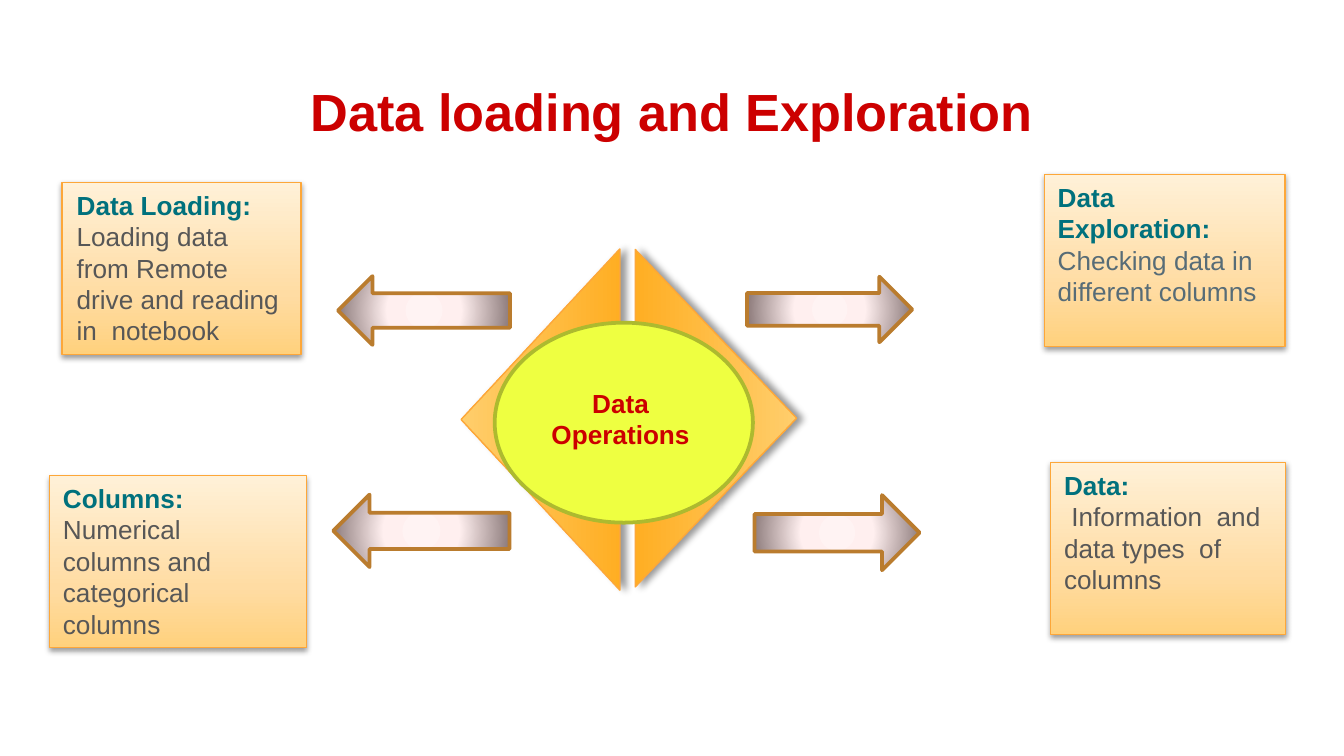
from lxml import etree
from pptx import Presentation
from pptx.dml.color import RGBColor
from pptx.enum.shapes import MSO_SHAPE
from pptx.enum.text import MSO_ANCHOR, PP_ALIGN
from pptx.oxml.ns import qn
from pptx.util import Cm, Pt

RED = RGBColor(0xCC, 0x00, 0x00)
TEAL = RGBColor(0x00, 0x71, 0x7D)
GREY = RGBColor(0x57, 0x57, 0x57)
SLATE = RGBColor(0x57, 0x6C, 0x77)
ORANGE = RGBColor(0xFD, 0xA7, 0x39)
BROWN = RGBColor(0xBA, 0x7C, 0x2E)
LIME = RGBColor(0xEE, 0xFF, 0x41)
OLIVE = RGBColor(0xAD, 0xBA, 0x2F)

# Gradient stops: position in percent, colour
AMBER = [(0, RGBColor(0xFF, 0xAE, 0x23)), (100, RGBColor(0xFF, 0xCE, 0x6C))]
CREAM = [(0, RGBColor(0xFF, 0xD1, 0x7D)), (35, RGBColor(0xFF, 0xDC, 0xA3)),
         (100, RGBColor(0xFF, 0xF1, 0xD8))]
ROSE = [(0, RGBColor(0xFF, 0xF3, 0xF3)), (40, RGBColor(0xFF, 0xEF, 0xEF)),
        (100, RGBColor(0x7F, 0x6D, 0x6D))]


def add_text(tf, text, size=14, color=GREY, bold=False, align=PP_ALIGN.LEFT, first=False):
    p = tf.paragraphs[0] if first else tf.add_paragraph()
    p.alignment = align
    r = p.add_run()
    r.text = text
    r.font.name = "Arial"
    r.font.size = Pt(size)
    r.font.bold = bold
    r.font.color.rgb = color


def draw_shape(kind, box, line, width, stops=None, radial=False, shadow=None):
    """Add a shape; shadow is (opacity %, blur pt, distance pt, angle)."""
    sp = s.shapes.add_shape(kind, *[Cm(v) for v in box])
    sp.shadow.inherit = False
    if stops:
        grad = etree.Element(qn("a:gradFill"), rotWithShape="1")
        gs_lst = etree.SubElement(grad, qn("a:gsLst"))
        for pos, color in stops:
            gs = etree.SubElement(gs_lst, qn("a:gs"), pos=str(pos * 1000))
            etree.SubElement(gs, qn("a:srgbClr"), val=str(color))
        if radial:
            circle = etree.SubElement(grad, qn("a:path"), path="circle")
            etree.SubElement(circle, qn("a:fillToRect"), l="50000", t="50000",
                             r="50000", b="50000")
        else:
            etree.SubElement(grad, qn("a:lin"), ang="16200000", scaled="0")
        sp._element.spPr.insert(2, grad)
    sp.line.color.rgb = line
    sp.line.width = Pt(width)
    if shadow:
        alpha, blur, dist, angle = shadow
        effects = sp._element.spPr.find(qn("a:effectLst"))
        outer = etree.SubElement(effects, qn("a:outerShdw"), blurRad=str(Pt(blur)),
                                 dist=str(Pt(dist)), dir=str(angle * 60000), rotWithShape="0")
        black = etree.SubElement(outer, qn("a:srgbClr"), val="000000")
        etree.SubElement(black, qn("a:alpha"), val=str(alpha * 1000))
    return sp


prs = Presentation()
prs.slide_width, prs.slide_height = Cm(25.4), Cm(14.29)
s = prs.slides.add_slide(prs.slide_layouts[5])

# Title
title = s.shapes.title
title.left, title.top, title.width, title.height = Cm(0.86), Cm(1.24), Cm(23.67), Cm(1.6)
tf = title.text_frame
tf.margin_left = tf.margin_top = tf.margin_right = tf.margin_bottom = Cm(0.25)
tf.vertical_anchor = MSO_ANCHOR.TOP
add_text(tf, "Data loading and Exploration", size=28, color=RED, bold=True,
         align=PP_ALIGN.CENTER, first=True)

# Diamond made of two triangles
for box, rotation in [((10.34, 6.38, 6.38, 3.05), 90), ((6.99, 6.43, 6.45, 3), 270)]:
    sp = draw_shape(MSO_SHAPE.ISOSCELES_TRIANGLE, box, ORANGE, 0.75, AMBER,
                    shadow=(40, 4, 3, 0))
    sp.rotation = rotation

# Central ellipse and its label
sp = draw_shape(MSO_SHAPE.OVAL, (9.35, 6.1, 4.88, 3.78), OLIVE, 2)
sp.fill.solid()
sp.fill.fore_color.rgb = LIME
tf = s.shapes.add_textbox(Cm(10.03), Cm(7.19), Cm(3.4), Cm(1.45)).text_frame
tf.word_wrap = True
for i, word in enumerate(["Data", "Operations"]):
    add_text(tf, word, color=RED, bold=True, align=PP_ALIGN.CENTER, first=i == 0)

# Corner boxes: left, top, width, left inset, right inset, heading, body, body colour
boxes = [
    (1.17, 3.45, 4.52, 0.28, 0.3, "Data Loading:",
     "Loading data from Remote drive and reading in  notebook", GREY),
    (19.74, 3.3, 4.55, 0.25, 0.25, "Data Exploration:",
     "Checking data in different columns", SLATE),
    (0.94, 8.99, 4.85, 0.25, 0.6, "Columns:",
     "Numerical columns and categorical columns", GREY),
    (19.86, 8.74, 4.44, 0.25, 0.25, "Data:",
     " Information  and data types  of columns", GREY),
]
for left, top, width, inset_left, inset_right, heading, body, color in boxes:
    sp = draw_shape(MSO_SHAPE.RECTANGLE, (left, top, width, 3.25), ORANGE, 0.75, CREAM,
                    shadow=(38, 3.1, 1.6, 90))
    tf = sp.text_frame
    tf.word_wrap = True
    tf.vertical_anchor = MSO_ANCHOR.TOP
    tf.margin_left, tf.margin_right = Cm(inset_left), Cm(inset_right)
    tf.margin_top = tf.margin_bottom = Cm(0.13)
    add_text(tf, heading, color=TEAL, bold=True, first=True)
    add_text(tf, body, color=color)

# Block arrows pointing at the boxes
for kind, box in [
    (MSO_SHAPE.RIGHT_ARROW, (14.26, 9.36, 3.12, 1.42)),
    (MSO_SHAPE.RIGHT_ARROW, (14.12, 5.23, 3.12, 1.24)),
    (MSO_SHAPE.LEFT_ARROW, (6.39, 5.22, 3.25, 1.3)),
    (MSO_SHAPE.LEFT_ARROW, (6.3, 9.35, 3.33, 1.37)),
]:
    draw_shape(kind, box, BROWN, 2, ROSE, radial=True)

prs.save("out.pptx")
